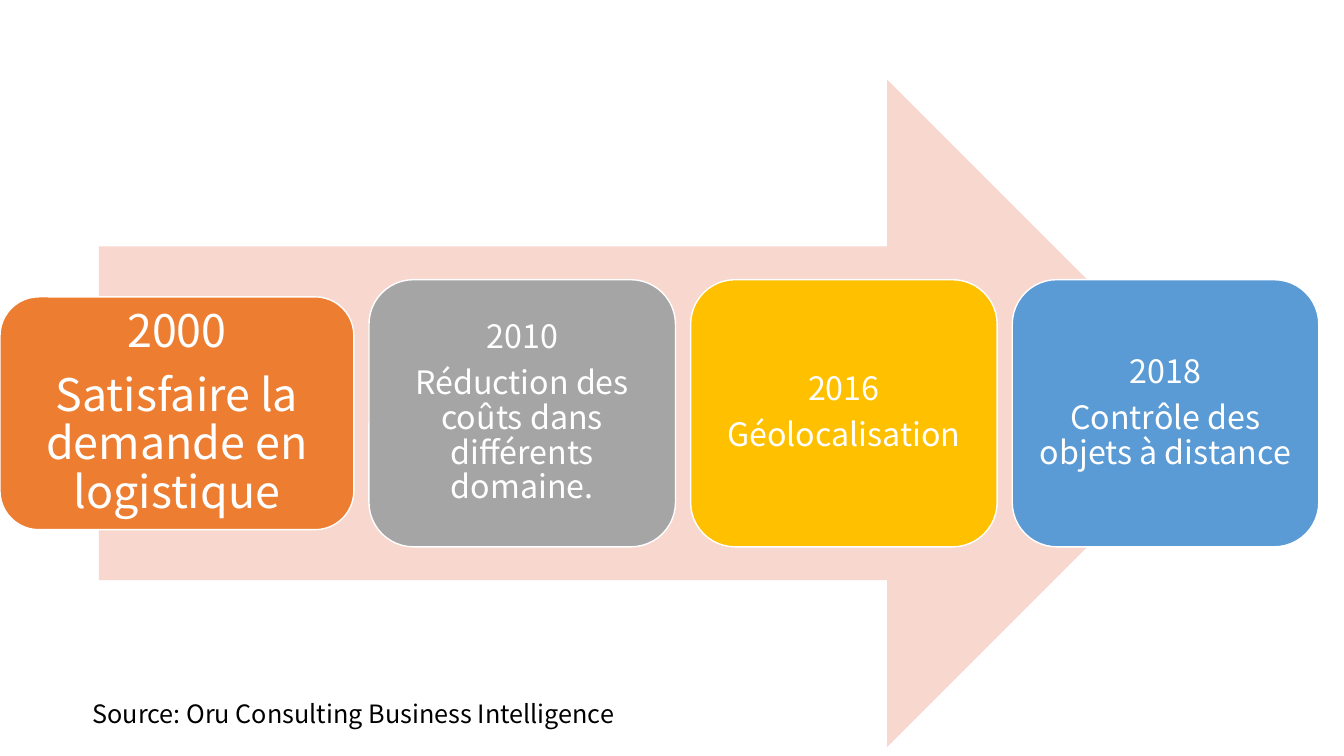
from pptx import Presentation
from pptx.dml.color import RGBColor
from pptx.enum.shapes import MSO_SHAPE
from pptx.enum.text import MSO_ANCHOR, PP_ALIGN
from pptx.util import Inches, Pt

WHITE = RGBColor(0xFF, 0xFF, 0xFF)
BLACK = RGBColor(0x00, 0x00, 0x00)
PINK = RGBColor(0xF8, 0xD7, 0xCE)
ORANGE = RGBColor(0xED, 0x7D, 0x31)
GRAY = RGBColor(0xA5, 0xA5, 0xA5)
YELLOW = RGBColor(0xFF, 0xC0, 0x00)
BLUE = RGBColor(0x5B, 0x9B, 0xD5)
FONT = "Noto Sans CJK SC"

LARGE = {"width": 3.51, "height": 2.31, "size": 32, "inset": 0.13}
SMALL = {"width": 3.04, "height": 2.65, "size": 23, "inset": 0.1}
MILESTONES = [
    ("2000", "Satisfaire la demande en logistique", ORANGE, LARGE),
    ("2010", "Réduction des coûts dans différents domaine.", GRAY, SMALL),
    ("2016", "Géolocalisation", YELLOW, SMALL),
    ("2018", "Contrôle des objets à distance", BLUE, SMALL),
]
SOURCE = "Source: Oru Consulting Business Intelligence"
ROW_LEFT, ROW_CENTER, GAP = 0, 4.1, 0.15


def write_text(frame, lines, size, color, align=PP_ALIGN.LEFT, spacing=1.0, after=0, wrap=True):
    frame.word_wrap = wrap
    for index, line in enumerate(lines):
        paragraph = frame.add_paragraph() if index else frame.paragraphs[0]
        paragraph.alignment = align
        paragraph.line_spacing = spacing
        paragraph.space_after = Pt(after)
        run = paragraph.add_run()
        run.text = line
        run.font.name = FONT
        run.font.size = Pt(size)
        run.font.color.rgb = color


def add_block(slide, kind, left, top, width, height, fill):
    shape = slide.shapes.add_shape(kind, Inches(left), Inches(top), Inches(width), Inches(height))
    shape.shadow.inherit = False
    shape.fill.solid()
    shape.fill.fore_color.rgb = fill
    shape.line.fill.background()
    return shape


presentation = Presentation()
presentation.slide_width = Inches(13.33)
presentation.slide_height = Inches(7.5)
slide = presentation.slides.add_slide(presentation.slide_layouts[6])

add_block(slide, MSO_SHAPE.RIGHT_ARROW, 0.98, 0.79, 11.13, 6.62, PINK)

left = ROW_LEFT
for year, label, color, style in MILESTONES:
    width, height, size = style["width"], style["height"], style["size"]
    box = add_block(slide, MSO_SHAPE.ROUNDED_RECTANGLE, left, ROW_CENTER - height / 2, width, height, color)
    box.line.color.rgb = WHITE
    box.line.width = Pt(1)
    frame = box.text_frame
    frame.vertical_anchor = MSO_ANCHOR.MIDDLE
    frame.margin_left = frame.margin_right = Inches(style["inset"])
    frame.margin_top = frame.margin_bottom = Inches(style["inset"])
    write_text(frame, [year, label], size, WHITE, align=PP_ALIGN.CENTER, spacing=0.9, after=0.35 * size)
    left += width + GAP

source_box = slide.shapes.add_textbox(Inches(0.82), Inches(6.88), Inches(5.6), Inches(0.4))
write_text(source_box.text_frame, [SOURCE], 18, BLACK, wrap=True)

presentation.save("out.pptx")
